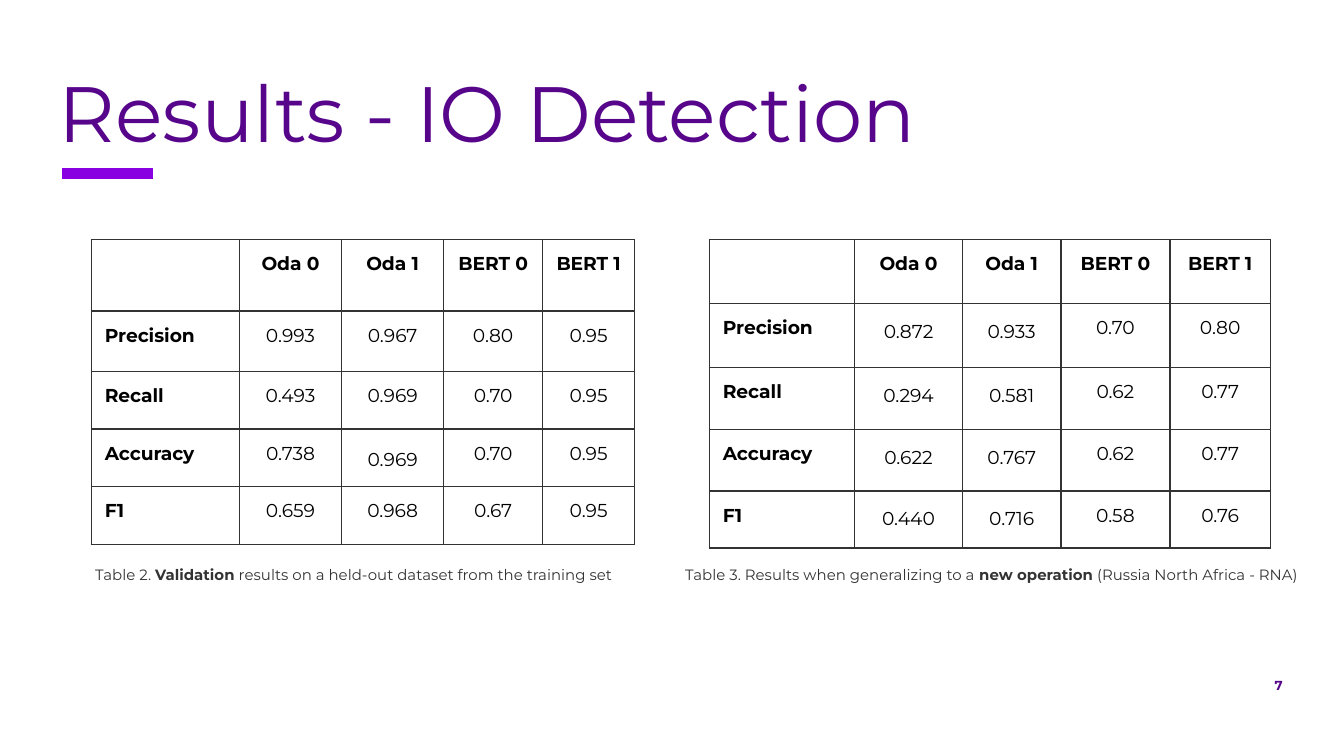
from dataclasses import dataclass

from lxml import etree
from pptx import Presentation
from pptx.dml.color import RGBColor
from pptx.enum.shapes import MSO_CONNECTOR
from pptx.enum.text import MSO_ANCHOR, MSO_AUTO_SIZE, PP_ALIGN
from pptx.oxml.ns import qn
from pptx.util import Cm, Pt

LEFT, MID, RIGHT = PP_ALIGN.LEFT, PP_ALIGN.CENTER, PP_ALIGN.RIGHT
TOP, CENTER = MSO_ANCHOR.TOP, MSO_ANCHOR.MIDDLE
STRAIGHT = MSO_CONNECTOR.STRAIGHT
NO_FIT = MSO_AUTO_SIZE.NONE


@dataclass(frozen=True)
class Theme:
    font: str = "Montserrat"
    purple: str = "57068C"
    accent: str = "8900E1"
    gray: str = "333333"
    black: str = "000000"
    white: str = "FFFFFF"
    title: float = 42
    cell: float = 10
    note: float = 8
    page: float = 7
    rule: float = 6
    border: float = 0.75
    pad: float = 0.25
    loose: float = 1.15


class Deck:
    def __init__(self, theme):
        self.theme = theme
        self.prs = Presentation()
        self.prs.slide_width, self.prs.slide_height = Cm(25.4), Cm(14.29)
        self.slide = self.prs.slides.add_slide(self.prs.slide_layouts[5])

    def style(self, run, size, color, bold=False):
        font = run.font
        font.name, font.size, font.bold = self.theme.font, Pt(size), bold
        font.color.rgb = RGBColor.from_string(color)

    def frame(self, shape):
        frame = shape.text_frame
        frame.word_wrap, frame.auto_size = True, NO_FIT
        frame.vertical_anchor = TOP
        frame.margin_left = frame.margin_right = Cm(self.theme.pad)
        frame.margin_top = frame.margin_bottom = Cm(self.theme.pad)
        return frame

    def title(self, text, x, y, w, h):
        shape = self.slide.shapes.title
        shape.left, shape.top, shape.width, shape.height = map(Cm, (x, y, w, h))
        frame = self.frame(shape)
        frame.text = text
        par = frame.paragraphs[0]
        par.alignment, par.line_spacing = LEFT, 0.85
        self.style(par.runs[0], self.theme.title, self.theme.purple)

    def text(self, parts, x, y, w, h, size, color, align=LEFT):
        """Each part is a pair of text and bold flag."""
        box = self.slide.shapes.add_textbox(*map(Cm, (x, y, w, h)))
        par = self.frame(box).paragraphs[0]
        par.alignment = align
        for words, bold in parts:
            run = par.add_run()
            run.text = words
            self.style(run, size, color, bold)

    def line(self, x1, y1, x2, y2):
        rule = self.slide.shapes.add_connector(STRAIGHT, *map(Cm, (x1, y1, x2, y2)))
        rule.line.color.rgb = RGBColor.from_string(self.theme.accent)
        rule.line.width = Pt(self.theme.rule)
        etree.SubElement(rule._element.spPr, qn("a:effectLst"))

    def edges(self, cell):
        props = cell._tc.get_or_add_tcPr()
        for side in ("lnL", "lnR", "lnT", "lnB"):
            edge = etree.SubElement(props, qn(f"a:{side}"), w=str(Pt(self.theme.border)))
            fill = etree.SubElement(edge, qn("a:solidFill"))
            etree.SubElement(fill, qn("a:srgbClr"), val=self.theme.gray)

    def cell(self, cell, text, align, bold, loose):
        self.edges(cell)
        cell.fill.solid()
        cell.fill.fore_color.rgb = RGBColor.from_string(self.theme.white)
        cell.vertical_anchor = TOP
        cell.margin_left = cell.margin_right = Cm(self.theme.pad)
        cell.margin_top = cell.margin_bottom = Cm(self.theme.pad)
        par = cell.text_frame.paragraphs[0]
        par.alignment = align
        if loose:
            par.line_spacing = self.theme.loose
        if text:
            par.text = text
            self.style(par.runs[0], self.theme.cell, self.theme.black, bold)
        else:
            # Keeps the empty corner from stretching its row
            etree.SubElement(par._p, qn("a:endParaRPr"), sz=str(int(self.theme.cell * 100)))

    def table(self, data, x, y, cols, rows, loose):
        """Loose holds the (row, column) places with wider line spacing."""
        shape = self.slide.shapes.add_table(
            len(rows), len(cols), *map(Cm, (x, y, sum(cols), sum(rows))))
        table = shape.table
        table.first_row = table.horz_banding = False
        for col, width in zip(table.columns, cols):
            col.width = Cm(width)
        for row, height in zip(table.rows, rows):
            row.height = Cm(height)
        for r, values in enumerate(data):
            for c, value in enumerate(values):
                self.cell(table.cell(r, c), value, MID if c else LEFT,
                          r == 0 or c == 0, (r, c) in loose)
        return table


HEAD = ("", "Oda 0", "Oda 1", "BERT 0", "BERT 1")
VALID = (
    HEAD,
    ("Precision", "0.993", "0.967", "0.80", "0.95"),
    ("Recall", "0.493", "0.969", "0.70", "0.95"),
    ("Accuracy", "0.738", "0.969", "0.70", "0.95"),
    ("F1", "0.659", "0.968", "0.67", "0.95"),
)
GENERAL = (
    HEAD,
    ("Precision", "0.872", "0.933", "0.70", "0.80"),
    ("Recall", "0.294", "0.581", "0.62", "0.77"),
    ("Accuracy", "0.622", "0.767", "0.62", "0.77"),
    ("F1", "0.440", "0.716", "0.58", "0.76"),
)


def main():
    theme = Theme()
    deck = Deck(theme)

    # Title, accent rule and page number
    deck.title("Results - IO Detection", 0.86, 1.24, 23.4, 1.6)
    deck.line(1.18, 3.28, 2.9, 3.28)
    deck.text([("7", True)], 12.83, 12.55, 11.66, 0.86, theme.page, theme.purple, RIGHT)

    # Validation results
    top, note = 4.53, 10.44
    valid = deck.table(VALID, 1.73, top, (2.79, 1.94, 1.92, 1.88, 1.73),
                       (1.35, 1.14, 1.09, 1.09, 1.09), {(3, 2)})
    odd = valid.cell(3, 2)
    odd.vertical_anchor = CENTER
    odd.margin_left = odd.margin_right = odd.margin_top = odd.margin_bottom = Cm(0.15)
    deck.text([("Table 2. ", False), ("Validation", True),
               (" results on a held-out dataset from the training set", False)],
              1.55, note, 10.62, 0.76, theme.note, theme.gray)

    # Generalization results
    deck.table(GENERAL, 13.41, top, (2.74, 2.04, 1.86, 2.06, 1.9),
               (1.21, 1.21, 1.17, 1.16, 1.08),
               {(r, c) for r in range(1, 5) for c in (1, 2)})
    deck.text([("Table 3. Results when generalizing to a ", False), ("new operation", True),
               (" (Russia North Africa - RNA)", False)],
              12.7, note, 12.34, 0.76, theme.note, theme.gray)

    deck.prs.save("out.pptx")


if __name__ == "__main__":
    main()
